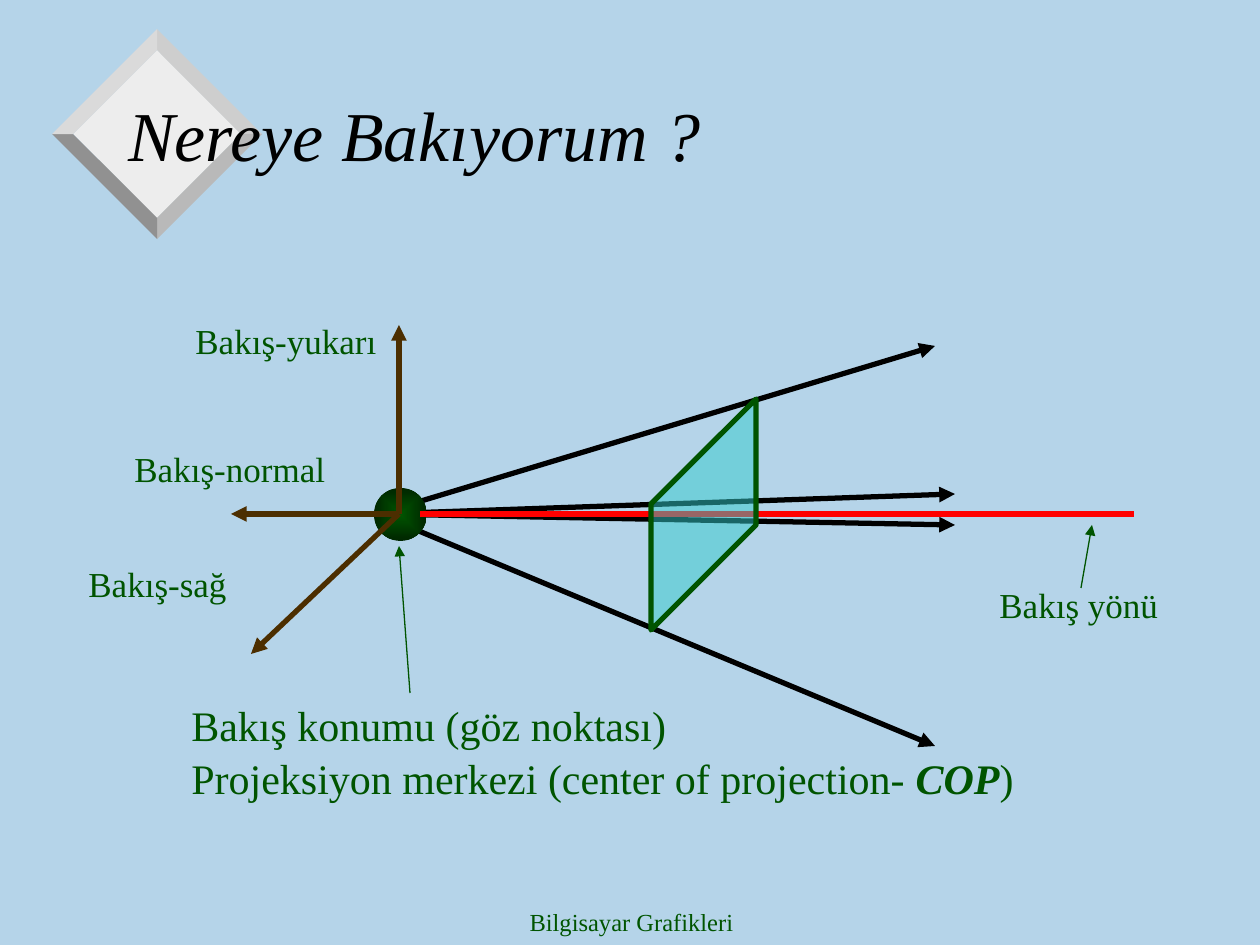
"""Build a slide that explains viewing position, direction and axes."""
from lxml.etree import SubElement
from pptx import Presentation
from pptx.dml.color import RGBColor
from pptx.enum.shapes import MSO_CONNECTOR, MSO_SHAPE
from pptx.enum.text import MSO_ANCHOR, PP_ALIGN
from pptx.oxml.ns import qn
from pptx.util import Emu, Pt

SCALE = 914400 / 126
FONT = "Times New Roman"
SKY = RGBColor(0xB5, 0xD4, 0xE9)
BLACK = RGBColor(0, 0, 0)
GREEN = RGBColor(0, 0x54, 0)
DARK_GREEN = RGBColor(0, 0x26, 0)
BROWN = RGBColor(0x4C, 0x2E, 0)
RED = RGBColor(0xFF, 0, 0)
TURQUOISE = RGBColor(0x33, 0xCC, 0xCC)
DIAMOND_FACE = RGBColor(0xED, 0xED, 0xED)
DIAMOND_EDGES = (
    RGBColor(0xCE, 0xCE, 0xCE),
    RGBColor(0xB9, 0xB9, 0xB9),
    RGBColor(0x91, 0x91, 0x91),
    RGBColor(0xDA, 0xDA, 0xDA),
)


def px(length):
    return Emu(round(length * SCALE))


def add_run(paragraph, text, *, size=20, color=GREEN, bold=False, italic=False):
    run = paragraph.add_run()
    run.text = text
    font = run.font
    font.name, font.size = FONT, Pt(size)
    font.bold, font.italic = bold, italic
    font.color.rgb = color


class Canvas:
    def __init__(self, slide):
        self.slide = slide
        self.shapes = slide.shapes
        slide.background.fill.solid()
        slide.background.fill.fore_color.rgb = SKY

    def text(self, text, box, *, align=PP_ALIGN.LEFT, anchor=MSO_ANCHOR.TOP, **style):
        shape = self.shapes.add_textbox(*map(px, box))
        frame = shape.text_frame
        frame.word_wrap = True
        frame.vertical_anchor = anchor
        paragraph = frame.paragraphs[0]
        paragraph.alignment = align
        add_run(paragraph, text, **style)
        return paragraph

    def line(self, start, end, color, width=3, arrow=True):
        connector = self.shapes.add_connector(
            MSO_CONNECTOR.STRAIGHT, *map(px, (*start, *end))
        )
        connector.line.color.rgb = color
        connector.line.width = Pt(width)
        properties = connector._element.spPr
        if arrow:
            SubElement(properties.find(qn("a:ln")), qn("a:tailEnd"), type="triangle")
        SubElement(properties, qn("a:effectLst"))

    def polygon(self, points, color, outline=None, opacity=100):
        builder = self.shapes.build_freeform(*points[0], scale=SCALE)
        builder.add_line_segments(points[1:], close=True)
        shape = builder.convert_to_shape()
        shape.shadow.inherit = False
        shape.fill.solid()
        shape.fill.fore_color.rgb = color
        if opacity < 100:
            color_element = shape._element.spPr.find(qn("a:solidFill"))[0]
            SubElement(color_element, qn("a:alpha"), val=str(opacity * 1000))
        if outline is None:
            shape.line.fill.background()
        else:
            shape.line.color.rgb = outline
            shape.line.width = Pt(3)

    def diamond(self, x, y, inner, outer):
        directions = ((0, -1), (1, 0), (0, 1), (-1, 0))

        def corners(radius):
            return [(x + radius * dx, y + radius * dy) for dx, dy in directions]

        inside, outside = corners(inner), corners(outer)
        self.polygon(inside, DIAMOND_FACE)
        for index, color in enumerate(DIAMOND_EDGES):
            following = (index + 1) % 4
            edge = [inside[index], outside[index], outside[following], inside[following]]
            self.polygon(edge, color)

    def eye(self, box):
        shape = self.shapes.add_shape(MSO_SHAPE.OVAL, *map(px, box))
        shape.shadow.inherit = False
        shape.line.fill.background()
        shape.fill.gradient()
        for stop, color, position in zip(
            shape.fill.gradient_stops, (GREEN, DARK_GREEN), (0, 1)
        ):
            stop.color.rgb = color
            stop.position = position
        gradient = shape._element.spPr.find(qn("a:gradFill"))
        gradient.remove(gradient.find(qn("a:lin")))
        center = SubElement(gradient, qn("a:path"), path="rect")
        sides = dict.fromkeys("ltrb", "50000")
        SubElement(center, qn("a:fillToRect"), **sides)


def main():
    presentation = Presentation()
    presentation.slide_width, presentation.slide_height = px(1260), px(945)
    canvas = Canvas(presentation.slides.add_slide(presentation.slide_layouts[6]))

    canvas.diamond(157, 134, 84, 105)
    canvas.text("Bilgisayar Grafikleri", (432, 901, 399, 44),
                align=PP_ALIGN.CENTER, size=14)
    canvas.text("Nereye Bakıyorum ?", (116, 58, 1071, 152),
                anchor=MSO_ANCHOR.MIDDLE, size=40, color=BLACK, italic=True)

    for end in ((935, 346), (955, 525), (935, 746), (955, 494)):
        canvas.line((378, 514), end, BLACK)
    canvas.eye((374, 488, 53, 53))
    for end in ((399, 325), (251, 654), (231, 514)):
        canvas.line((399, 514), end, BROWN)

    center = canvas.text("Projeksiyon merkezi (center of projection- ",
                         (179, 746, 1023, 63), size=24)
    add_run(center, "COP", size=24, bold=True, italic=True)
    add_run(center, ")", size=24)
    canvas.line((410, 693), (399, 546), GREEN, width=0.75)
    canvas.line((420, 514), (1134, 514), RED, arrow=False)
    canvas.polygon([(651, 630), (651, 504), (756, 399), (756, 525)],
                   TURQUOISE, outline=GREEN, opacity=50)
    canvas.line((1081, 588), (1092, 525), GREEN, width=0.75)

    for label, box in (
        ("Bakış yönü", (987, 577, 242, 55)),
        ("Bakış-yukarı", (183, 313, 227, 55)),
        ("Bakış-sağ", (76, 556, 239, 55)),
        ("Bakış-normal", (122, 441, 246, 55)),
    ):
        canvas.text(label, box)
    canvas.text("Bakış konumu (göz noktası)", (179, 693, 507, 63), size=24)

    presentation.save("out.pptx")


if __name__ == "__main__":
    main()
